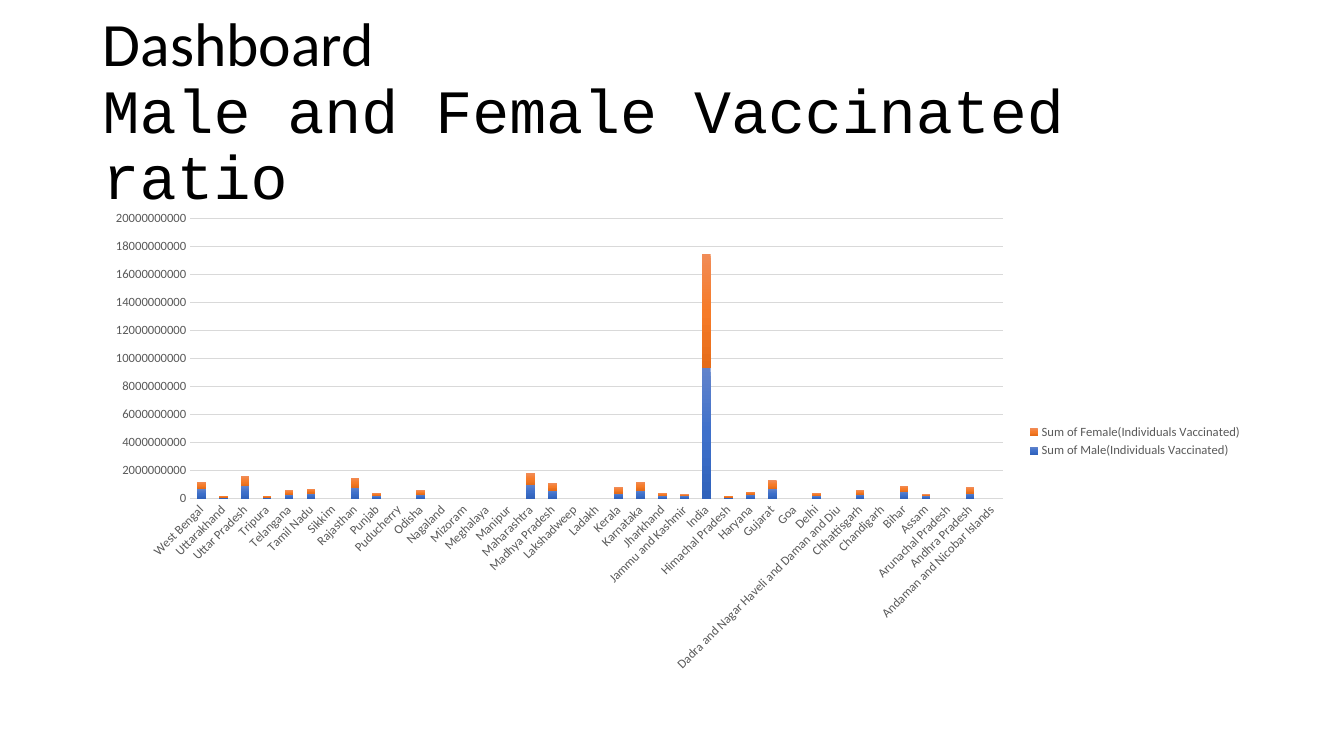
from lxml import etree
from pptx import Presentation
from pptx import util as u
from pptx.chart import data as chart_data
from pptx.dml.color import RGBColor
from pptx.enum import chart as charts, text
from pptx.oxml import ns

BLACK = RGBColor(0x00, 0x00, 0x00)
GREY = RGBColor(0x59, 0x59, 0x59)
PALE_GREY = RGBColor(0xD9, 0xD9, 0xD9)
MALE_STOPS = [RGBColor(0x61, 0x83, 0xCB), RGBColor(0x3E, 0x70, 0xCA), RGBColor(0x30, 0x62, 0xBB)]
FEMALE_STOPS = [RGBColor(0xF1, 0x8C, 0x57), RGBColor(0xF6, 0x7B, 0x28), RGBColor(0xE5, 0x6C, 0x19)]

TITLE_BOX = (0.92, 0.4, 11.5, 1.45)
CHART_BOX = (0.92, 2, 11.5, 4.76)

# Vaccinated people per state: male, female, in units of 100 million
UNIT = 100_000_000
VACCINATED = {
    "West Bengal": (7, 5), "Uttarakhand": (1, 1), "Uttar Pradesh": (9, 7),
    "Tripura": (1, 1), "Telangana": (3, 3), "Tamil Nadu": (4, 3),
    "Sikkim": (0, 0), "Rajasthan": (8, 7), "Punjab": (2, 2),
    "Puducherry": (0, 0), "Odisha": (3, 3), "Nagaland": (0, 0),
    "Mizoram": (0, 0), "Meghalaya": (0, 0), "Manipur": (0, 0),
    "Maharashtra": (10, 8), "Madhya Pradesh": (6, 5), "Lakshadweep": (0, 0),
    "Ladakh": (0, 0), "Kerala": (4, 4), "Karnataka": (6, 6),
    "Jharkhand": (2, 2), "Jammu and Kashmir": (2, 1), "India": (93, 82),
    "Himachal Pradesh": (1, 1), "Haryana": (3, 2), "Gujarat": (7, 6),
    "Goa": (0, 0), "Delhi": (2, 2),
    "Dadra and Nagar Haveli and Daman and Diu": (0, 0),
    "Chhattisgarh": (3, 3), "Chandigarh": (0, 0), "Bihar": (5, 4),
    "Assam": (2, 1), "Arunachal Pradesh": (0, 0), "Andhra Pradesh": (4, 4),
    "Andaman and Nicobar Islands": (0, 0),
}


def set_format(target, values):
    for name, value in values.items():
        setattr(target, name, value)


def set_font(font, color, **values):
    set_format(font, values)
    font.color.rgb = color


def set_gradient(fill, colors):
    """Spread the colours evenly from top to bottom."""
    fill.gradient()
    fill.gradient_angle = 270
    stops = fill.gradient_stops[0]._gs.getparent()
    for stop in list(stops):
        stops.remove(stop)
    for index, color in enumerate(colors):
        position = 100000 * index // (len(colors) - 1)
        stop = etree.SubElement(stops, ns.qn("a:gs"), pos=str(position))
        etree.SubElement(stop, ns.qn("a:srgbClr"), val=str(color))


def add_title(page, box):
    frame = page.shapes.add_textbox(*map(u.Inches, box)).text_frame
    set_format(frame, {"word_wrap": True, "auto_size": text.MSO_AUTO_SIZE.NONE,
                       "vertical_anchor": text.MSO_ANCHOR.MIDDLE})
    para = frame.paragraphs[0]
    para.line_spacing = 0.9
    for words, face in (("Dashboard ", "Calibri"),
                        ("Male and Female Vaccinated ratio", "Courier New")):
        if para.runs:
            para.add_line_break()
        span = para.add_run()
        span.text = words
        set_font(span.font, BLACK, name=face, size=u.Pt(44))


def add_vaccination_chart(page, box):
    data = chart_data.CategoryChartData(number_format="General")
    data.categories = list(VACCINATED)
    for name, counts in zip(("Male", "Female"), zip(*VACCINATED.values())):
        data.add_series(f"Sum of {name}(Individuals Vaccinated)",
                        [count * UNIT for count in counts])
    chart = page.shapes.add_chart(charts.XL_CHART_TYPE.COLUMN_STACKED,
                                  *map(u.Inches, box), data).chart
    set_format(chart, {"has_title": False, "has_legend": True})
    set_font(chart.font, BLACK, name="Calibri", size=u.Pt(10))

    # Stacked columns
    plot = chart.plots[0]
    set_format(plot, {"gap_width": 150, "overlap": 100, "vary_by_categories": False})
    for series, colors in zip(plot.series, (MALE_STOPS, FEMALE_STOPS)):
        set_gradient(series.format.fill, colors)

    # Legend and axes
    states, people, legend = chart.category_axis, chart.value_axis, chart.legend
    set_format(legend, {"position": charts.XL_LEGEND_POSITION.RIGHT,
                        "include_in_layout": False})
    for font in (legend.font, states.tick_labels.font, people.tick_labels.font):
        set_font(font, GREY, name="Calibri", size=u.Pt(9))
    for axis in (states, people):
        set_format(axis, {"major_tick_mark": charts.XL_TICK_MARK.NONE,
                          "minor_tick_mark": charts.XL_TICK_MARK.NONE})
    people.has_major_gridlines = True
    people.format.line.fill.background()
    for line, width in ((states.format.line, 1), (people.major_gridlines.format.line, 0.75)):
        line.color.rgb = PALE_GREY
        line.width = u.Pt(width)

    # Slanted state names
    label_body = states._element.find(ns.qn("c:txPr")).find(ns.qn("a:bodyPr"))
    label_body.set("rot", str(-45 * 60000))
    label_body.set("vert", "horz")


deck = Presentation()
set_format(deck, {"slide_width": u.Inches(13.33), "slide_height": u.Inches(7.5)})
page = deck.slides.add_slide(deck.slide_layouts[6])
add_title(page, TITLE_BOX)
add_vaccination_chart(page, CHART_BOX)
deck.save("out.pptx")
